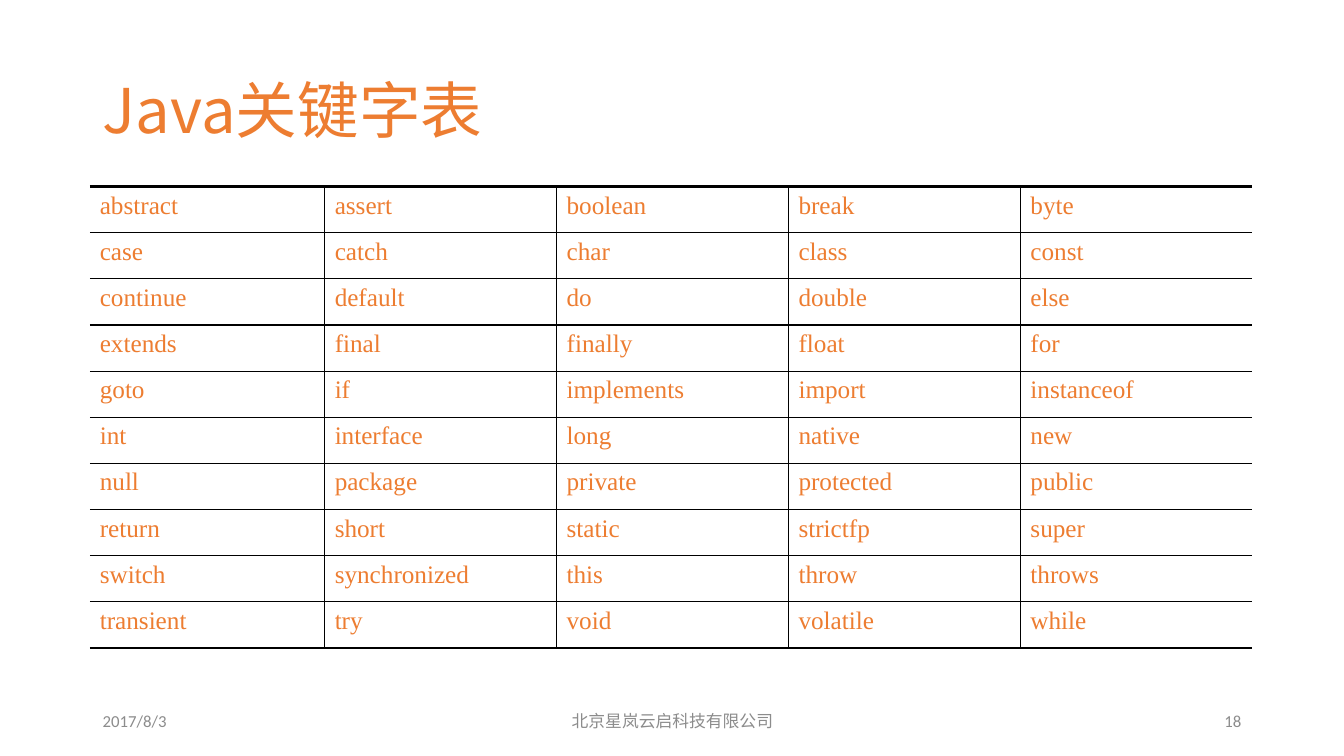
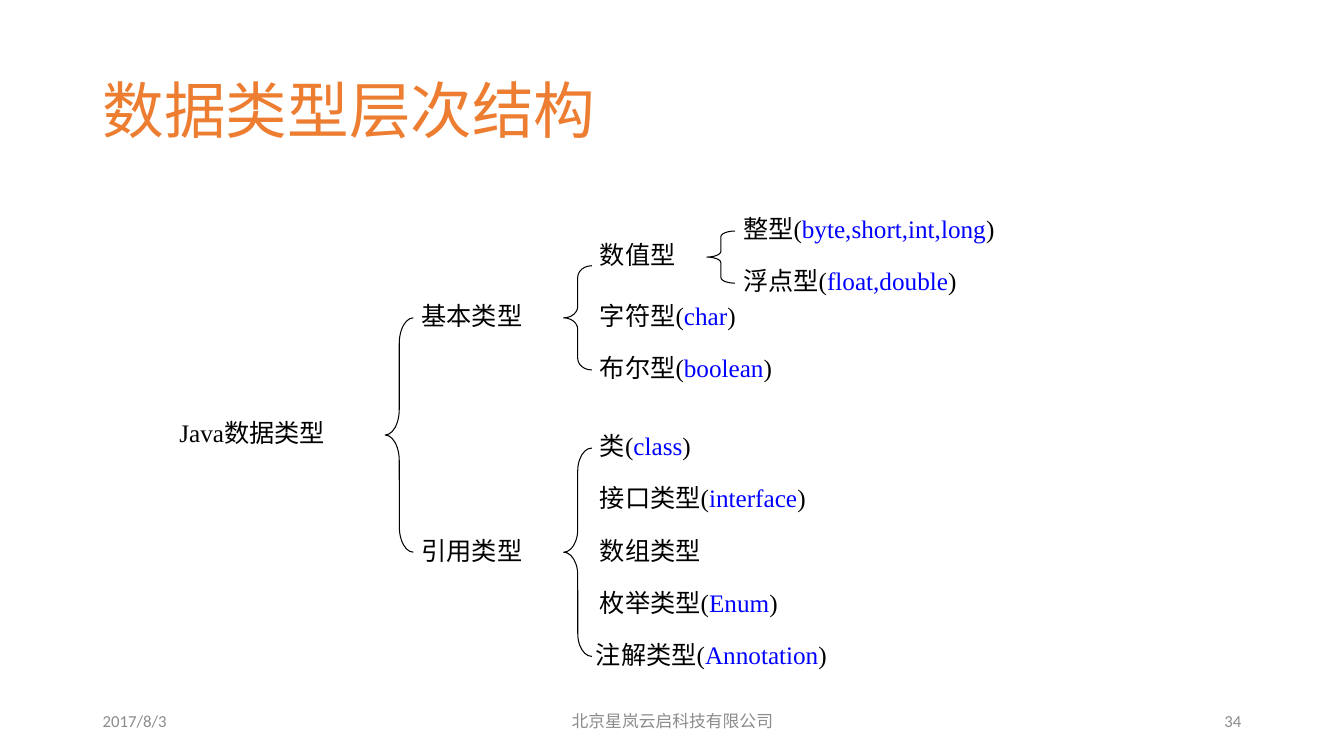
import pptx
import pptx.dml.color
import pptx.enum.shapes
import pptx.enum.text
import pptx.oxml
import pptx.oxml.ns
import pptx.util
from lxml import etree

SLIDE_W, SLIDE_H = 13.33, 7.5
ORANGE, GREY, BLACK, BLUE = "ED7D31", "8C8C8C", "000000", "0000FF"
SANS, SERIF, FOOTER_FONT = "Noto Sans CJK SC", "Times New Roman", "Calibri"
ALIGN = pptx.enum.text.PP_ALIGN
ANCHOR = pptx.enum.text.MSO_ANCHOR

MARGIN = 0.92
DATE, COMPANY = "2017/8/3", "北京星岚云启科技有限公司"

KEYWORDS = [row.split() for row in (
    "abstract assert boolean break byte",
    "case catch char class const",
    "continue default do double else",
    "extends final finally float for",
    "goto if implements import instanceof",
    "int interface long native new",
    "null package private protected public",
    "return short static strictfp super",
    "switch synchronized this throw throws",
    "transient try void volatile while",
)]

# The type tree: four levels across, rows of equal height down.
LEVELS = (1.72, 4.1, 5.87, 7.29)
TREE_TOP, TREE_BOTTOM, TREE_ROWS = 2.12, 6.34, 24.5
TREE_ROW = (TREE_BOTTOM - TREE_TOP) / TREE_ROWS
LABEL_H, BRACE_W = 0.34, 0.28

# level, row, width, label, Java keywords
TYPES = [
    (1, 5, 2, "基本类型", ""),
    (1, 18.5, 2.28, "引用类型", ""),
    (2, 5, 1.99, "字符型", "char"),
    (2, 8, 3.41, "布尔型", "boolean"),
    (3, 0, 3.98, "整型", "byte,short,int,long"),
    (3, 3, 3.98, "浮点型", "float,double"),
    (2, 12.5, 1.71, "类", "class"),
    (2, 15.5, 3.85, "接口类型", "interface"),
    (2, 18.5, 1.71, "数组类型", ""),
    (2, 21.5, 2.85, "枚举类型", "Enum"),
]
# level that the brace opens, first row, rows spanned
BRACES = [(1, 6, 13.5), (2, 3, 6), (3, 1, 3), (2, 13.5, 12)]


def inches(*lengths):
    return [pptx.util.Inches(length) for length in lengths]


def rgb(color):
    return pptx.dml.color.RGBColor.from_string(color)


def write(frame, runs, size=18, font=SERIF, color=BLACK, align=ALIGN.LEFT,
          anchor=ANCHOR.TOP, insets=(0.1, 0.05, 0.1, 0.05), spacing=None):
    """Fill a text frame with a string or a list of (text, color) runs."""
    frame.word_wrap = True
    frame.vertical_anchor = anchor
    (frame.margin_left, frame.margin_top,
     frame.margin_right, frame.margin_bottom) = inches(*insets)
    paragraph = frame.paragraphs[0]
    paragraph.alignment = align
    if spacing:
        paragraph.line_spacing = spacing
    for text, run_color in [(runs, color)] if isinstance(runs, str) else runs:
        run = paragraph.add_run()
        run.text = text
        run.font.size = pptx.util.Pt(size)
        run.font.name = font
        run.font.color.rgb = rgb(run_color)
        east_asian = etree.SubElement(run.font._element, pptx.oxml.ns.qn("a:ea"))
        east_asian.set("typeface", SANS)


def add_text(slide, box, runs, **style):
    write(slide.shapes.add_textbox(*inches(*box)).text_frame, runs, **style)


def add_slide(deck, title, number):
    """Add a blank slide with the shared title and footer."""
    slide = deck.slides.add_slide(deck.slide_layouts[6])
    add_text(slide, (MARGIN, 0.4, 8.69, 1.45), title, size=44, font=SANS,
             color=ORANGE, anchor=ANCHOR.MIDDLE, spacing=0.9)
    side = 3
    footers = (
        (MARGIN, side, DATE, FOOTER_FONT, ALIGN.LEFT),
        (MARGIN + 3.5, 4.5, COMPANY, SANS, ALIGN.CENTER),
        (SLIDE_W - MARGIN - side, side, str(number), FOOTER_FONT, ALIGN.RIGHT),
    )
    for left, width, text, font, align in footers:
        add_text(slide, (left, 6.95, width, 0.4), text, size=12, font=font,
                 color=GREY, align=align, anchor=ANCHOR.MIDDLE)
    return slide


def set_borders(cell, **widths):
    """Draw cell edges L, R, T and B in points; 0 leaves an edge out."""
    properties = cell._tc.get_or_add_tcPr()
    for edge, width in widths.items():
        line = etree.SubElement(properties, pptx.oxml.ns.qn("a:ln" + edge))
        line.set("w", str(pptx.util.Pt(width)))
        if width:
            fill = etree.SubElement(line, pptx.oxml.ns.qn("a:solidFill"))
            etree.SubElement(fill, pptx.oxml.ns.qn("a:srgbClr")).set("val", BLACK)
        else:
            etree.SubElement(line, pptx.oxml.ns.qn("a:noFill"))


def add_keyword_table(slide, words):
    rows, columns = len(words), len(words[0])
    inner, outer = 1, 2.25
    table = slide.shapes.add_table(
        rows, columns, *inches(0.89, 1.85, 11.53, 4.58)).table
    table.first_row = table.horz_banding = False
    for c, column in enumerate(table.columns):
        column.width = pptx.util.Inches(2.3 if c else 2.33)
    for r, row in enumerate(words):
        for c, word in enumerate(row):
            cell = table.cell(r, c)
            set_borders(cell, L=inner if c else 0,
                        R=inner if c < columns - 1 else 0,
                        T=inner if r else outer,
                        B=inner if r < rows - 1 else outer)
            cell.fill.background()
            write(cell.text_frame, word, color=ORANGE,
                  insets=(0.14, 0.05, 0.14, 0.05))


def tree_y(row):
    return TREE_TOP + row * TREE_ROW


def add_type(slide, level, row, width, label, keywords="", height=LABEL_H,
             shift=0, insets=(0.08, 0, 0, 0)):
    """Add a tree label, with its Java keywords in blue brackets."""
    runs = [(label, BLACK)]
    if keywords:
        runs = [(label + "(", BLACK), (keywords, BLUE), (")", BLACK)]
    add_text(slide, (LEVELS[level] + shift, tree_y(row), width, height), runs,
             align=ALIGN.JUSTIFY, insets=insets)


def add_brace(slide, level, row, span):
    height = span * TREE_ROW
    brace = slide.shapes.add_shape(
        pptx.enum.shapes.MSO_SHAPE.LEFT_BRACE,
        *inches(LEVELS[level] - BRACE_W, tree_y(row), BRACE_W, height))
    brace.shadow.inherit = False
    brace.fill.background()
    brace.line.color.rgb = rgb(BLACK)
    brace.line.width = pptx.util.Pt(0.75)
    brace.adjustments[0] = 0.11 * height / BRACE_W
    brace.adjustments[1] = 0.5


def add_type_tree(slide):
    add_type(slide, 0, 11.5, 2.1, "Java数据类型", height=0.51,
             insets=(0.06, 0.04, 0, 0))
    add_type(slide, 2, 1, 1.71, "数值型", insets=(0.08, 0.08, 0, 0))
    for entry in TYPES:
        add_type(slide, *entry)
    add_type(slide, 2, TREE_ROWS, 4.24, "注解类型", "Annotation", shift=-0.05,
             insets=(0.09, 0, 0, 0))
    for brace in BRACES:
        add_brace(slide, *brace)


def main():
    deck = pptx.Presentation()
    deck.slide_width, deck.slide_height = inches(SLIDE_W, SLIDE_H)
    add_keyword_table(add_slide(deck, "Java关键字表", 18), KEYWORDS)
    add_type_tree(add_slide(deck, "数据类型层次结构", 34))
    deck.save("out.pptx")


if __name__ == "__main__":
    main()
